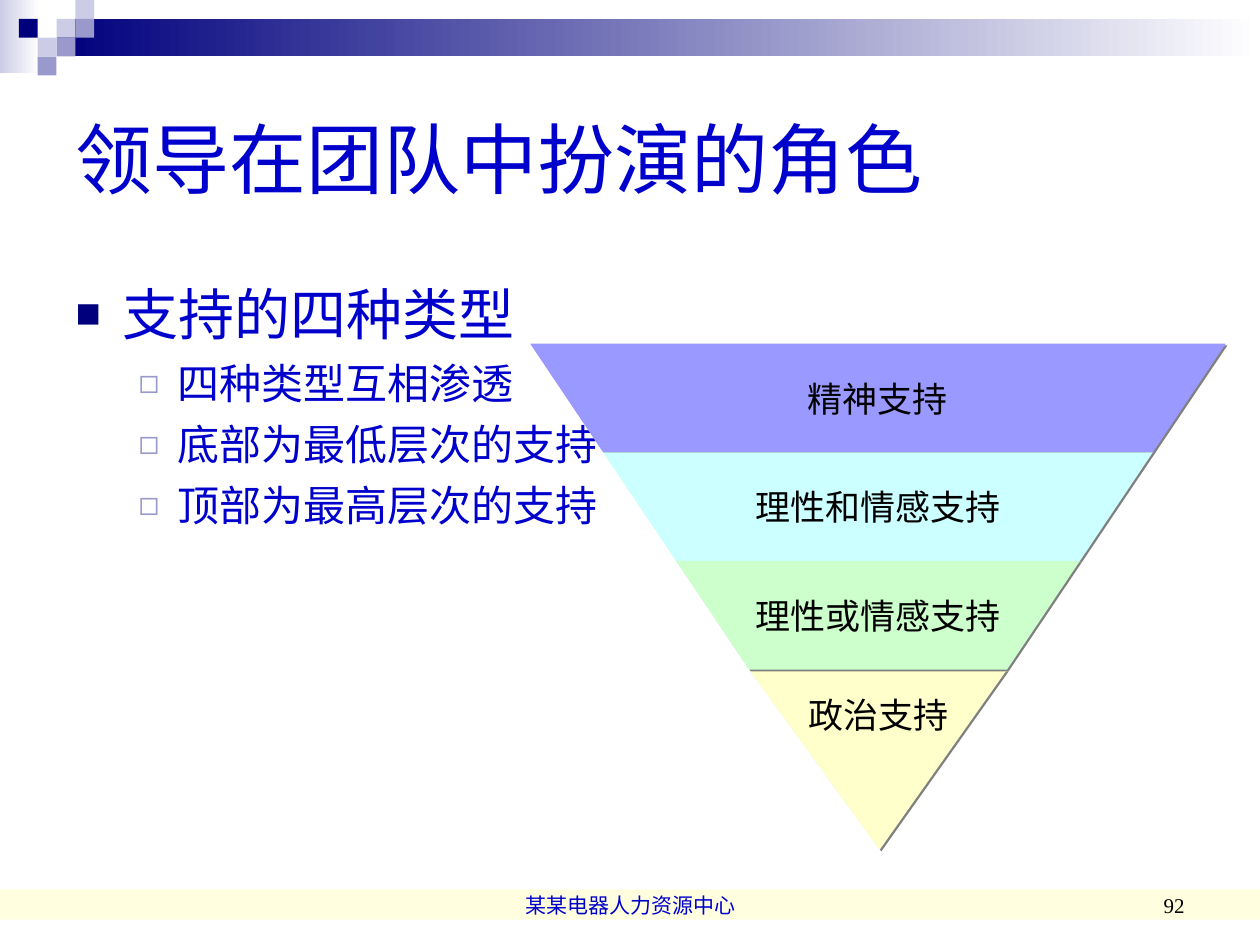
import lxml.etree
import pptx
import pptx.dml.color
import pptx.enum.shapes
import pptx.enum.text
import pptx.oxml.ns
import pptx.util

Cm = pptx.util.Cm
Pt = pptx.util.Pt
Align = pptx.enum.text.PP_ALIGN
Anchor = pptx.enum.text.MSO_ANCHOR
Preset = pptx.enum.shapes.MSO_SHAPE

BLUE, NAVY, LAVENDER, MIST = "0000CC", "00007D", "9999CC", "CCCCE6"
GRID = 0.38  # side of one header square, in cm


def rgb(value):
    return pptx.dml.color.RGBColor.from_string(value)


def add_xml(parent, tag, **attributes):
    child = lxml.etree.SubElement(parent, pptx.oxml.ns.qn(tag))
    for name, value in attributes.items():
        child.set(name, str(value))
    return child


def write_text(paragraph, text, *, size, color="000000", font="Arial",
               align=Align.LEFT, before=0):
    run = paragraph.add_run()
    run.text = text
    run.font.size = Pt(size)
    run.font.name = font
    run.font.color.rgb = rgb(color)
    paragraph.alignment = align
    paragraph.space_before = Pt(before)


def place(shape, left, top, width, height):
    shape.left, shape.top = Cm(left), Cm(top)
    shape.width, shape.height = Cm(width), Cm(height)


def set_bullet(paragraph, char, color, percent, indent, hanging):
    properties = paragraph._p.get_or_add_pPr()
    properties.set("marL", str(Cm(indent)))
    properties.set("indent", str(-Cm(hanging)))
    add_xml(add_xml(properties, "a:buClr"), "a:srgbClr", val=color)
    add_xml(properties, "a:buSzPct", val=percent * 1000)
    add_xml(properties, "a:buChar", char=char)


def add_block(slide, left, top, width, height, color, fade=False, opacity=100):
    """Add a borderless rectangle, optionally fading to white on the right."""
    block = slide.shapes.add_shape(
        Preset.RECTANGLE, Cm(left), Cm(top), Cm(width), Cm(height))
    block.shadow.inherit = False
    block.line.fill.background()
    if fade:
        block.fill.gradient()
        block.fill.gradient_angle = 0
        for stop, position, shade in zip(
                block.fill.gradient_stops, (0, 1), (color, "FFFFFF")):
            stop.position = position
            stop.color.rgb = rgb(shade)
        return
    block.fill.solid()
    block.fill.fore_color.rgb = rgb(color)
    if opacity < 100:
        solid = block._element.spPr.find(pptx.oxml.ns.qn("a:solidFill"))
        add_xml(solid[0], "a:alpha", val=opacity * 1000)


def add_header(slide):
    add_block(slide, 0, 0, 0.79, 1.47, MIST, fade=True)
    add_block(slide, 3 * GRID, GRID, 25.4 - 3 * GRID, 2 * GRID, NAVY, fade=True)
    squares = [(3, 1, MIST), (4, 0, MIST), (4, 1, LAVENDER), (2, 2, MIST),
               (1, 1, NAVY), (3, 2, LAVENDER), (2, 3, LAVENDER)]
    for column, row, color in squares:
        add_block(slide, column * GRID, row * GRID, GRID, GRID, color)


def add_title(slide, text):
    title = slide.shapes.title
    place(title, 1.27, 1.27, 22.86, 3.81)
    title.text_frame.auto_size = pptx.enum.text.MSO_AUTO_SIZE.NONE
    title.text_frame.vertical_anchor = Anchor.MIDDLE
    write_text(title.text_frame.paragraphs[0], text, size=44, color=BLUE)


def add_support_list(slide, heading, points):
    body = slide.placeholders[1]
    place(body, 1.27, 5.51, 22.86, 10.8)
    frame = body.text_frame
    frame.auto_size = pptx.enum.text.MSO_AUTO_SIZE.NONE
    first = frame.paragraphs[0]
    set_bullet(first, "■", NAVY, 75, 0.95, 0.95)
    write_text(first, heading, size=32, color=BLUE)
    for point in points:
        paragraph = frame.add_paragraph()
        paragraph.level = 1
        set_bullet(paragraph, "◻", LAVENDER, 80, 2.06, 0.79)
        write_text(paragraph, point, size=24, color=BLUE, before=6)


def finish_tier(tier, label, color):
    """Give a pyramid tier its fill, thin grey shadow and centred label."""
    tier.fill.solid()
    tier.fill.fore_color.rgb = rgb(color)
    tier.line.fill.background()
    tier.shadow.inherit = False
    effects = tier._element.spPr.find(pptx.oxml.ns.qn("a:effectLst"))
    shadow = add_xml(effects, "a:outerShdw", blurRad=0, dist=Pt(1.4),
                     dir=45 * 60000, algn="ctr", rotWithShape=0)
    add_xml(shadow, "a:srgbClr", val="808080")
    tier.text_frame.word_wrap = False
    tier.text_frame.vertical_anchor = Anchor.MIDDLE
    write_text(tier.text_frame.paragraphs[0], label, size=20,
               align=Align.CENTER)


def add_inverted_pyramid(slide, tiers, tip):
    left, right, top = 10.69, 24.71, 6.93
    inset, height = 1.47, 2.19
    tip_left = left + len(tiers) * inset
    tip_width = right - left - 2 * len(tiers) * inset
    triangle = slide.shapes.add_shape(
        Preset.ISOSCELES_TRIANGLE, Cm(tip_left), Cm(top + len(tiers) * height),
        Cm(tip_width), Cm(3.63))
    triangle.adjustments[0] = 0.494
    triangle.rotation = 180
    finish_tier(triangle, *tip)
    # Turn the label back upright inside the rotated triangle.
    triangle.text_frame._txBody.bodyPr.set("rot", str(180 * 60000))

    for index, tier in enumerate(tiers):
        x1, x2 = left + index * inset, right - index * inset
        y1 = top + index * height
        y2 = y1 + height
        outline = slide.shapes.build_freeform(Cm(x1), Cm(y1))
        outline.add_line_segments(
            [(Cm(x2), Cm(y1)), (Cm(x2 - inset), Cm(y2)),
             (Cm(x1 + inset), Cm(y2))], close=True)
        finish_tier(outline.convert_to_shape(), *tier)


def add_footer_text(slide, text, left, width, **text_format):
    box = slide.shapes.add_textbox(Cm(left), Cm(17.35), Cm(width), Cm(1.27))
    box.text_frame.word_wrap = True
    box.text_frame.vertical_anchor = Anchor.BOTTOM
    write_text(box.text_frame.paragraphs[0], text, size=12,
               font="Times New Roman", **text_format)


def main():
    deck = pptx.Presentation()
    deck.slide_width, deck.slide_height = Cm(25.4), Cm(19.05)
    slide = deck.slides.add_slide(deck.slide_layouts[1])

    add_block(slide, 0, 17.93, 25.4, 0.61, "FFFF99", opacity=30)
    add_header(slide)
    add_title(slide, "领导在团队中扮演的角色")
    add_support_list(slide, "支持的四种类型", [
        "四种类型互相渗透", "底部为最低层次的支持", "顶部为最高层次的支持"])
    add_inverted_pyramid(
        slide,
        tiers=[("精神支持", "9999FF"), ("理性和情感支持", "CCFFFF"),
               ("理性或情感支持", "CCFFCC")],
        tip=("政治支持", "FFFFCC"))
    add_footer_text(slide, "某某电器人力资源中心", 8.69, 8.05,
                    color=BLUE, align=Align.CENTER)
    add_footer_text(slide, "92", 18.21, 5.92, align=Align.RIGHT)
    deck.save("out.pptx")


if __name__ == "__main__":
    main()
